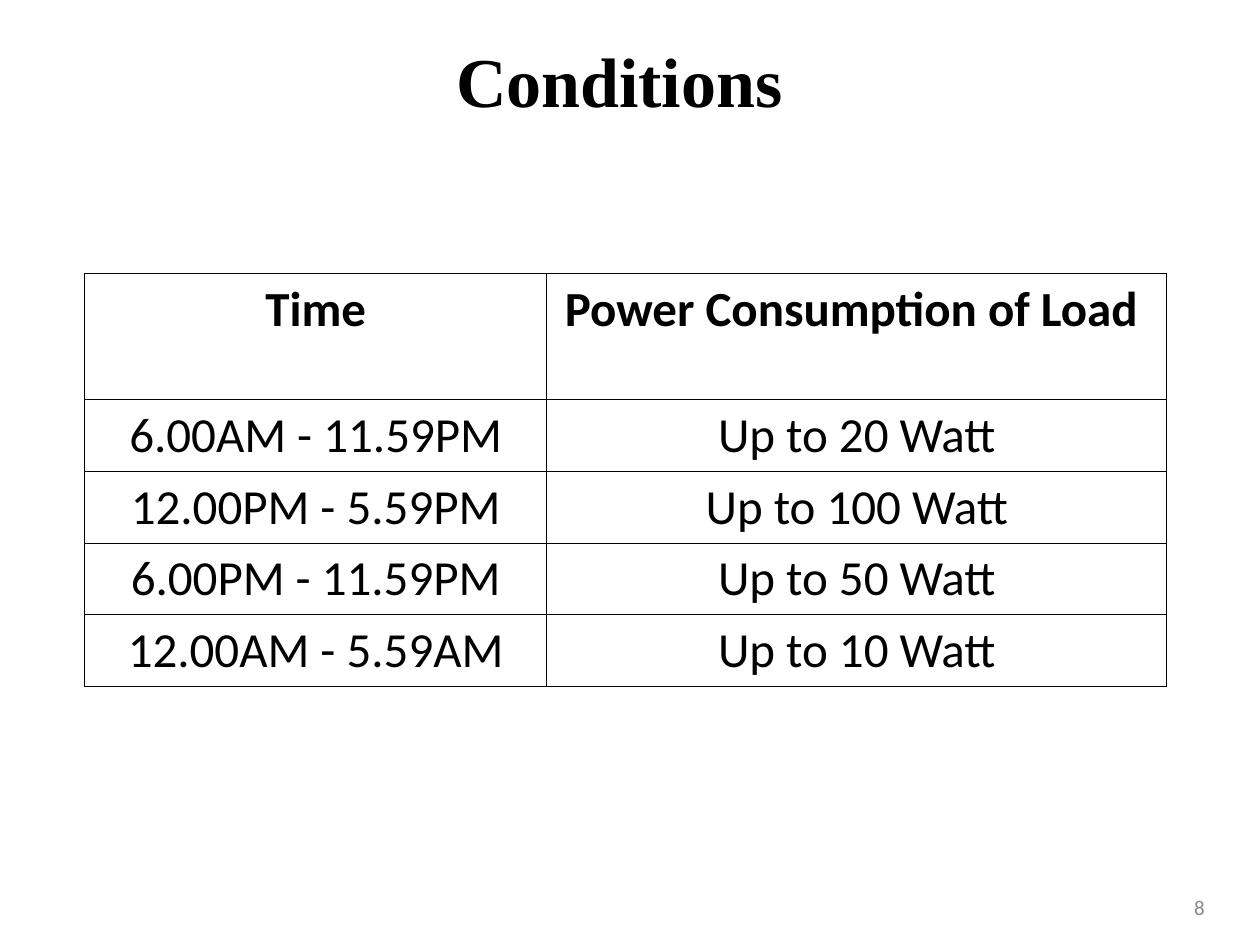
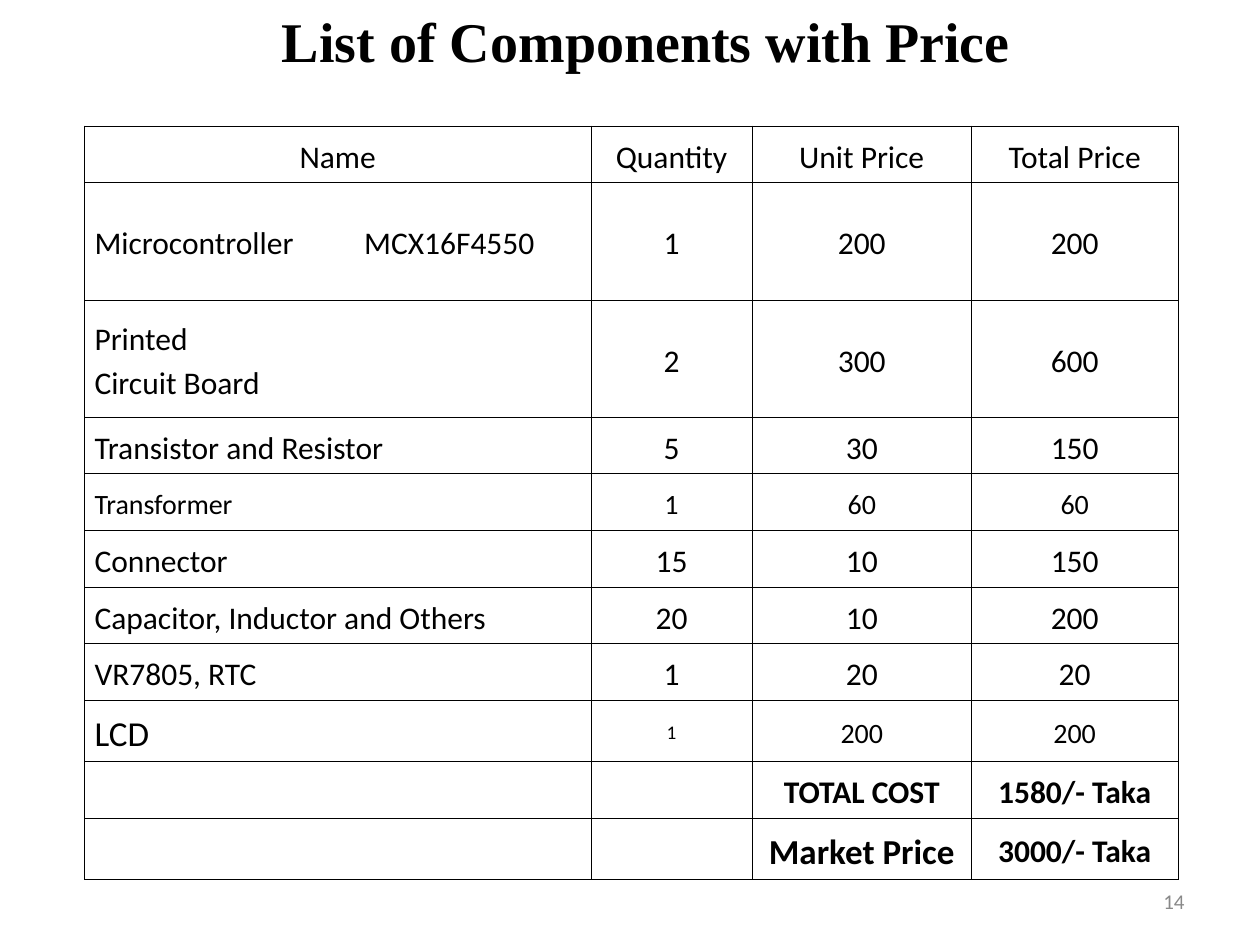
from dataclasses import dataclass
from lxml import etree
from pptx import Presentation
from pptx.dml.color import RGBColor as Rgb
from pptx.enum.text import MSO_ANCHOR as Anchor, PP_ALIGN as Align
from pptx.oxml.ns import qn
from pptx.util import Inches, Pt


@dataclass(frozen=True)
class Theme:
    """Hold the colours, fonts and type sizes of the deck."""
    ink: str = "000000"
    grey: str = "898989"
    paper: str = "FFFFFF"
    head: str = "Times New Roman"
    body: str = "Calibri"
    rule: float = 0.45
    foot: int = 12
    big: int = 28
    large: int = 20
    mid: int = 18
    small: int = 16
    tiny: int = 11


LOOK = Theme()

TIMES = [
    ("Time", "Power Consumption of Load "),
    ("6.00AM - 11.59PM", "Up to 20 Watt"),
    ("12.00PM - 5.59PM", "Up to 100 Watt"),
    ("6.00PM - 11.59PM", "Up to 50 Watt"),
    ("12.00AM - 5.59AM", "Up to 10 Watt"),
]

PARTS = [
    ("Name", "Quantity", "Unit Price", "Total Price"),
    ("Microcontroller\tMCX16F4550", "1", "200", "200"),
    ("Printed\nCircuit Board", "2", "300", "600"),
    ("Transistor and Resistor", "5", "30", "150"),
    ("Transformer", "1", "60", "60"),
    ("Connector", "15", "10", "150"),
    ("Capacitor, Inductor and Others", "20", "10", "200"),
    ("VR7805, RTC", "1", "20", "20"),
    ("LCD", "1", "200", "200"),
    ("", "", "TOTAL COST", "1580/- Taka"),
    ("", "", "Market Price", "3000/- Taka"),
]

SIZES = {
    4: (LOOK.small,) * 4,
    8: (LOOK.large, LOOK.tiny, LOOK.small, LOOK.small),
    10: (LOOK.mid, LOOK.mid, LOOK.large, LOOK.mid),
}


def write(frame, text, size, font=LOOK.body, tint=LOOK.ink, bold=False,
          align=Align.CENTER, lead=None, tab=None):
    """Fill a text frame, one paragraph for each line."""
    frame.word_wrap = True
    for n, line in enumerate(text.split("\n")):
        par = frame.add_paragraph() if n else frame.paragraphs[0]
        par.alignment = align
        if lead:
            par.line_spacing = lead
        if tab and "\t" in line:
            stops = etree.SubElement(par._p.get_or_add_pPr(), qn("a:tabLst"))
            etree.SubElement(stops, qn("a:tab"), pos=str(Inches(tab)), algn="l")
        run = par.add_run()
        run.text = line
        run.font.size = Pt(size)
        run.font.name = font
        run.font.bold = bold
        run.font.color.rgb = Rgb.from_string(tint)


def add_title(slide, text, box, size):
    """Add the bold serif title."""
    area = slide.shapes.add_textbox(*map(Inches, box))
    write(area.text_frame, text, size, LOOK.head, bold=True)


def add_number(slide, text, left, top):
    """Add the grey page number."""
    area = slide.shapes.add_textbox(*map(Inches, (left, top, 2.33, 0.4)))
    area.text_frame.vertical_anchor = Anchor.MIDDLE
    write(area.text_frame, text, LOOK.foot, tint=LOOK.grey, align=Align.RIGHT)


def frame_cell(cell):
    """Draw thin lines round a cell and fill it."""
    props = cell._tc.get_or_add_tcPr()
    for side in ("lnL", "lnR", "lnT", "lnB"):
        line = etree.SubElement(props, qn(f"a:{side}"), w=str(Pt(LOOK.rule)))
        fill = etree.SubElement(line, qn("a:solidFill"))
        etree.SubElement(fill, qn("a:srgbClr"), val=LOOK.ink)
    cell.fill.solid()
    cell.fill.fore_color.rgb = Rgb.from_string(LOOK.paper)


def add_grid(slide, top, cols, rows):
    """Add an empty ruled table and return it."""
    box = (0.67, top, sum(cols), sum(rows))
    grid = slide.shapes.add_table(len(rows), len(cols), *map(Inches, box)).table
    grid.first_row = grid.horz_banding = False
    for col, width in zip(grid.columns, cols):
        col.width = Inches(width)
    for row, height in zip(grid.rows, rows):
        row.height = Inches(height)
    for cell in grid.iter_cells():
        frame_cell(cell)
    return grid


def add_times(slide):
    """Add the table of load limits by time of day."""
    grid = add_grid(slide, 2.17, (3.67, 4.92), [1] + [0.57] * 4)
    for r, row in enumerate(TIMES):
        for c, text in enumerate(row):
            write(grid.cell(r, c).text_frame, text, LOOK.big, bold=r == 0)


def add_parts(slide):
    """Add the table of parts and prices."""
    rows = [0.93 if r in (1, 2) else 0.45 for r in range(len(PARTS))]
    grid = add_grid(slide, 1, (4.02, 1.28, 1.74, 1.64), rows)
    for r, row in enumerate(PARTS):
        sizes = SIZES.get(r, (LOOK.mid,) * 4)
        for c, (text, size) in enumerate(zip(row, sizes)):
            cell = grid.cell(r, c)
            cell.vertical_anchor = Anchor.MIDDLE
            cell.margin_left = cell.margin_right = Inches(0.08)
            if text:
                align = Align.LEFT if r and not c else Align.CENTER
                write(cell.text_frame, text, size, bold=r > 8,
                      align=align, lead=1.15, tab=2.14)


def main():
    """Build both slides and save the deck."""
    deck = Presentation()
    deck.slide_width, deck.slide_height = Inches(10), Inches(7.5)
    blank = deck.slide_layouts[6]

    slide = deck.slides.add_slide(blank)
    add_number(slide, "8", 7.33, 7)
    add_title(slide, "Conditions", (0.83, 0.25, 8.17, 0.75), 40)
    add_times(slide)

    slide = deck.slides.add_slide(blank)
    add_number(slide, "14", 7.17, 6.95)
    add_title(slide, "List of Components with Price", (1.92, 0, 6.42, 0.62), 32)
    add_parts(slide)

    deck.save("out.pptx")


if __name__ == "__main__":
    main()
